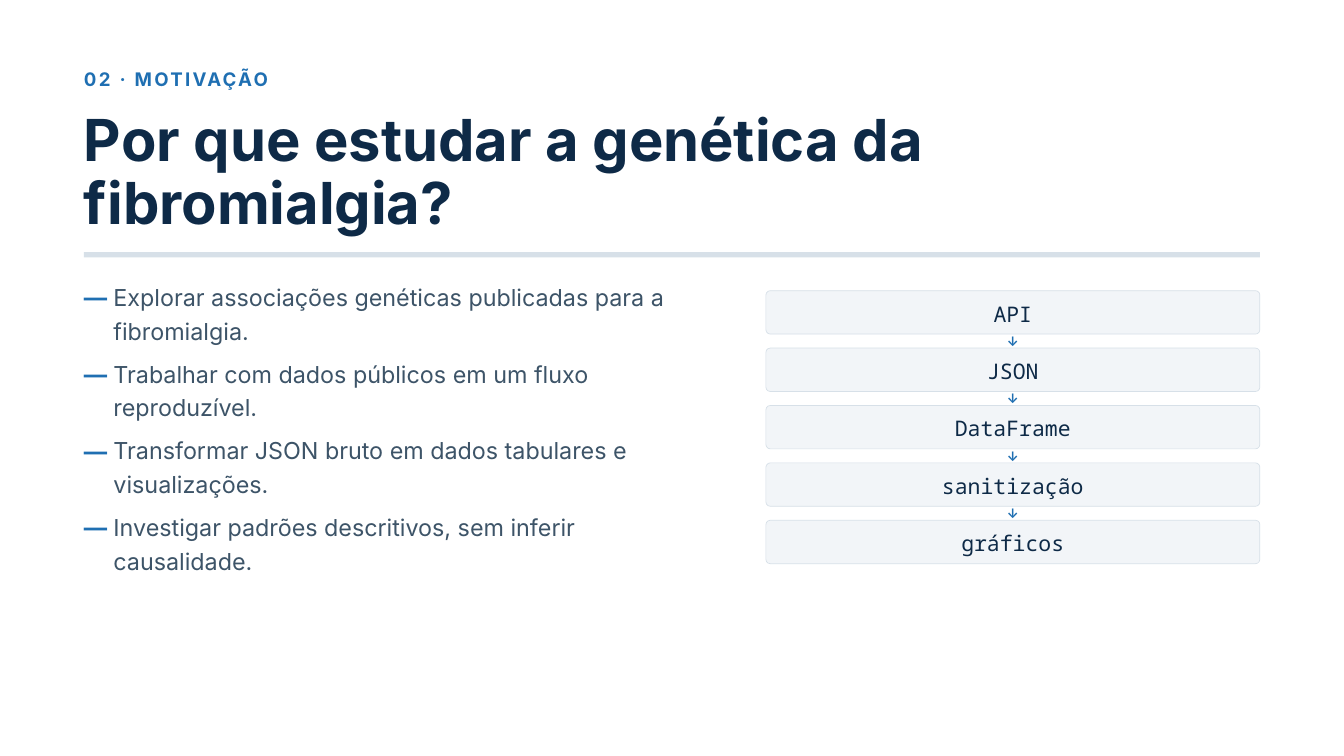
"""Build the motivation slide: reasons on the left, data pipeline on the right."""
from pptx import Presentation
from pptx.dml.color import RGBColor
from pptx.enum.shapes import MSO_SHAPE
from pptx.enum.text import MSO_ANCHOR, MSO_AUTO_SIZE, PP_ALIGN
from pptx.util import Cm, Pt

KICKER = "02 · MOTIVAÇÃO"
TITLE = "Por que estudar a genética da fibromialgia?"
REASONS = [
    "Explorar associações genéticas publicadas para a fibromialgia.",
    "Trabalhar com dados públicos em um fluxo reproduzível.",
    "Transformar JSON bruto em dados tabulares e visualizações.",
    "Investigar padrões descritivos, sem inferir causalidade.",
]
STEPS = ["API", "JSON", "DataFrame", "sanitização", "gráficos"]

NAVY = RGBColor(0x0E, 0x2A, 0x47)
BLUE = RGBColor(0x1F, 0x6F, 0xB2)
SLATE = RGBColor(0x3D, 0x54, 0x68)
RULE = RGBColor(0xD7, 0xE0, 0xE8)
PANEL = RGBColor(0xF2, 0xF5, 0xF8)
SANS, MONO = "Inter", "Noto Sans Mono"

LEFT, WIDTH = 3.175, 44.45
REASON_TOP, REASON_PITCH = 10.48, 2.9
STEP_LEFT, STEP_WIDTH, STEP_HEIGHT = 28.95, 18.67, 1.64
STEP_TOP, STEP_PITCH = 10.99, 2.17
ARROW_RISE, ARROW_HEIGHT = 0.66, 0.69


def write(tf, text, size, leading, color, bold=False, font=SANS, align=PP_ALIGN.LEFT):
    tf.word_wrap = True
    p = tf.paragraphs[0]
    r = p.add_run()
    r.text = text
    p.alignment = align
    p.line_spacing = Pt(leading)
    p.font.name, p.font.size, p.font.bold = font, Pt(size), bold
    p.font.color.rgb = color
    return r


def add_text(s, x, y, w, h, *args, **style):
    tf = s.shapes.add_textbox(Cm(x), Cm(y), Cm(w), Cm(h)).text_frame
    tf.margin_left = tf.margin_right = tf.margin_top = tf.margin_bottom = 0
    tf.auto_size = MSO_AUTO_SIZE.SHAPE_TO_FIT_TEXT
    return write(tf, *args, **style)


def add_block(s, kind, x, y, w, h, fill):
    sp = s.shapes.add_shape(kind, Cm(x), Cm(y), Cm(w), Cm(h))
    sp.shadow.inherit = False
    sp.fill.solid()
    sp.fill.fore_color.rgb = fill
    sp.line.fill.background()
    return sp


def add_step(s, y, label):
    sp = add_block(s, MSO_SHAPE.ROUNDED_RECTANGLE, STEP_LEFT, y, STEP_WIDTH, STEP_HEIGHT, PANEL)
    sp.adjustments[0] = 0.1
    sp.line.color.rgb = RULE
    sp.line.width = Pt(0.75)
    tf = sp.text_frame
    tf.margin_left = tf.margin_right = tf.margin_top = Cm(0.15)
    tf.margin_bottom = Cm(0.22)
    tf.vertical_anchor = MSO_ANCHOR.MIDDLE
    write(tf, label, 23, 32.2, NAVY, font=MONO, align=PP_ALIGN.CENTER)


def main():
    prs = Presentation()
    prs.slide_width, prs.slide_height = Cm(50.8), Cm(28.58)
    s = prs.slides.add_slide(prs.slide_layouts[6])

    r = add_text(s, LEFT, 2.41, WIDTH, 0.97, KICKER, 20, 28, BLUE, bold=True)
    r._r.get_or_add_rPr().set("spc", "240")
    add_text(s, LEFT, 4.12, WIDTH, 4.83, TITLE, 62, 68.2, NAVY, bold=True)
    add_block(s, MSO_SHAPE.RECTANGLE, LEFT, 9.53, WIDTH, 0.2, RULE)

    for i, reason in enumerate(REASONS):
        y = REASON_TOP + i * REASON_PITCH
        add_text(s, LEFT, y + 0.06, 0.89, 1.14, "—", 25, 35, BLUE, bold=True)
        add_text(s, 4.29, y, 22, 2.49, reason, 25, 36.2, SLATE)

    for i, label in enumerate(STEPS):
        y = STEP_TOP + i * STEP_PITCH
        add_step(s, y, label)
        if i:
            add_text(s, STEP_LEFT, y - ARROW_RISE, STEP_WIDTH, ARROW_HEIGHT, "↓", 14, 19.6,
                     BLUE, bold=True, align=PP_ALIGN.CENTER)

    prs.save("out.pptx")


if __name__ == "__main__":
    main()
